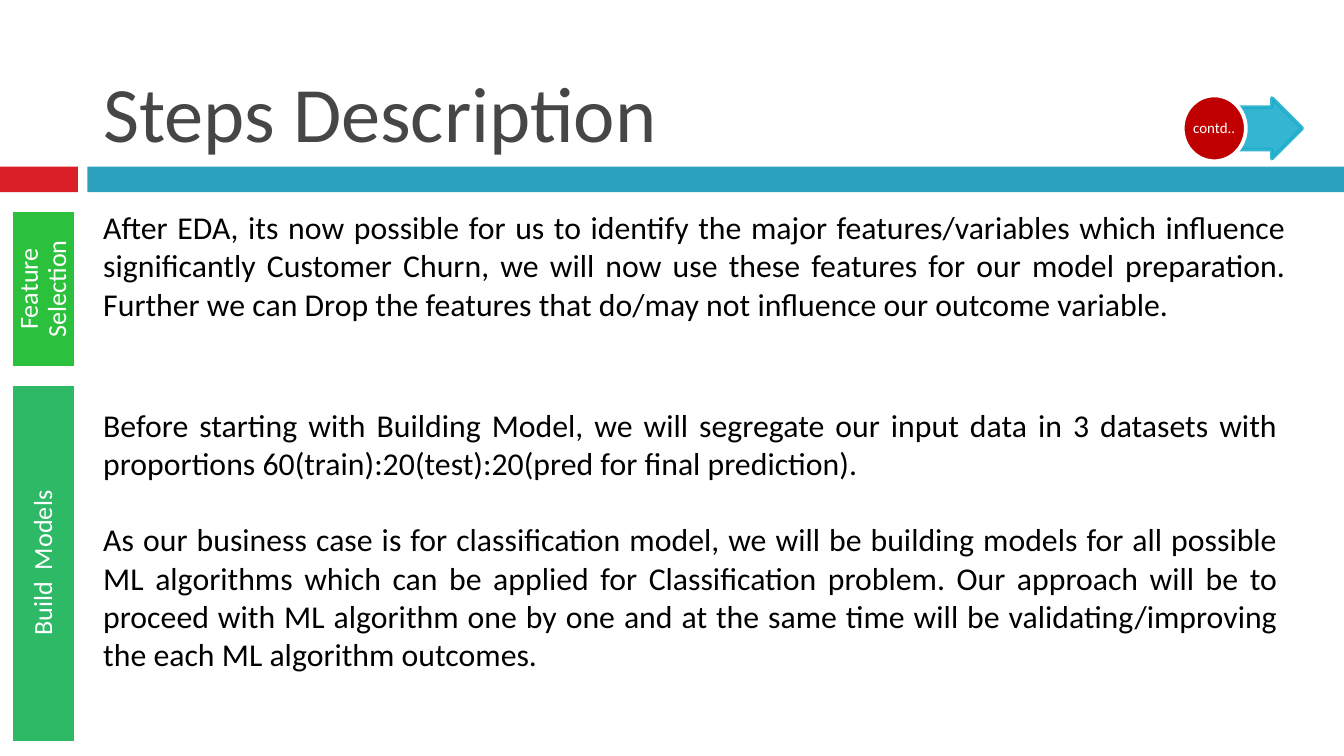
import pptx
import pptx.util
import pptx.dml.color
import pptx.enum.shapes
import pptx.enum.text
import pptx.oxml.ns
from lxml import etree
from pptx.dml.color import RGBColor
from pptx.enum.shapes import MSO_SHAPE
from pptx.enum.text import MSO_ANCHOR, PP_ALIGN
from pptx.util import Inches

FONT = "Calibri"
WHITE = RGBColor(0xFF, 0xFF, 0xFF)
BLACK = RGBColor(0, 0, 0)
GREY = RGBColor(0x46, 0x46, 0x46)
RED = RGBColor(0xDA, 0x1F, 0x28)
TEAL = RGBColor(0x2D, 0xA2, 0xBF)
ARROW_BLUE = RGBColor(0x1F, 0xAE, 0xCD)
DARK_RED = RGBColor(0xC0, 0, 0)
FEATURE_GREEN = RGBColor(0x2B, 0xC1, 0x3C)
MODEL_GREEN = RGBColor(0x2E, 0xB9, 0x67)

FEATURE_TEXT = [
    "After EDA, its now possible for us to identify the major features/variables "
    "which influence significantly Customer Churn, we will now use these features "
    "for our model preparation. Further we can Drop the features that do/may not "
    "influence our outcome variable.",
]
MODEL_TEXT = [
    "Before starting with Building Model, we will segregate our input data in 3 "
    "datasets with proportions 60(train):20(test):20(pred for final prediction).",
    "As our business case is for classification model, we will be building models "
    "for all possible ML algorithms which can be applied for Classification problem. "
    "Our approach will be to proceed with ML algorithm one by one and at the same "
    "time will be validating/improving the each ML algorithm outcomes.",
]


def style_paragraph(paragraph, size, color, align):
    paragraph.font.name = FONT
    paragraph.font.size = pptx.util.Pt(size)
    paragraph.font.color.rgb = color
    paragraph.alignment = align


def add_block(slide, kind, box, fill, outline=None):
    block = slide.shapes.add_shape(kind, *map(Inches, box))
    block.shadow.inherit = False
    block.fill.solid()
    block.fill.fore_color.rgb = fill
    if outline is None:
        block.line.fill.background()
    else:
        block.line.color.rgb = outline
        block.line.width = pptx.util.Pt(2)
    return block


def add_caption(holder, text, size, inset):
    frame = holder.text_frame
    frame.word_wrap = True
    frame.vertical_anchor = MSO_ANCHOR.MIDDLE
    frame.margin_left = frame.margin_right = Inches(inset)
    frame.margin_top = frame.margin_bottom = Inches(inset)
    caption = frame.paragraphs[0]
    caption.text = text
    caption.line_spacing = 0.9
    style_paragraph(caption, size, WHITE, PP_ALIGN.CENTER)


def add_step_label(slide, box, fill, text):
    label = add_block(slide, MSO_SHAPE.RECTANGLE, box, fill, WHITE)
    label.rotation = 270
    add_caption(label, text, 14, 0.11)


def add_description(slide, box, texts):
    frame = slide.shapes.add_textbox(*map(Inches, box)).text_frame
    frame.word_wrap = True
    for index, text in enumerate(texts):
        paragraph = frame.paragraphs[0] if index == 0 else frame.add_paragraph()
        paragraph.text = text
        style_paragraph(paragraph, 17, BLACK, PP_ALIGN.JUSTIFY)
        if index:
            paragraph.space_before = pptx.util.Pt(20.5)  # one line


def set_opacity(shape, percent):
    """Apply to both the fill and the outline."""
    for color in shape.element.spPr.iter(pptx.oxml.ns.qn("a:srgbClr")):
        alpha = etree.SubElement(color, pptx.oxml.ns.qn("a:alpha"))
        alpha.set("val", str(percent * 1000))


def add_title(slide, text):
    title = slide.shapes.title
    title.left, title.top, title.width, title.height = map(
        Inches, (0.67, 0.13, 8.92, 1.1))
    title.text_frame.text = text
    title.text_frame.vertical_anchor = MSO_ANCHOR.BOTTOM
    style_paragraph(title.text_frame.paragraphs[0], 42, GREY, PP_ALIGN.LEFT)


def add_continued_marker(slide):
    arrow = add_block(slide, MSO_SHAPE.RIGHT_ARROW, (9.03, 0.73, 0.66, 0.45),
                      ARROW_BLUE, ARROW_BLUE)
    arrow.adjustments[0] = 0.7
    arrow.adjustments[1] = 0.5
    set_opacity(arrow, 90)
    badge = add_block(slide, MSO_SHAPE.OVAL, (8.8, 0.71, 0.47, 0.49), DARK_RED, WHITE)
    add_caption(badge, "contd..", 8, 0)


def main():
    deck = pptx.Presentation()
    deck.slide_width = Inches(10)
    deck.slide_height = deck.slide_width * 9 // 16
    slide = deck.slides.add_slide(deck.slide_layouts[5])

    # Header band and title
    add_block(slide, MSO_SHAPE.RECTANGLE, (0, 1.24, 0.58, 0.19), RED)
    add_block(slide, MSO_SHAPE.RECTANGLE, (0.65, 1.24, 9.35, 0.19), TEAL)
    add_title(slide, "Steps Description")

    # Feature selection step
    add_step_label(slide, (-0.26, 1.91, 1.17, 0.48), FEATURE_GREEN, "Feature Selection")
    add_description(slide, (0.67, 1.5, 9, 0.96), FEATURE_TEXT)

    # Marker for continuation
    add_continued_marker(slide)

    # Model building step
    add_step_label(slide, (-1.01, 3.95, 2.67, 0.48), MODEL_GREEN, "Build  Models")
    add_description(slide, (0.67, 2.97, 8.94, 2.1), MODEL_TEXT)

    deck.save("out.pptx")


main()
